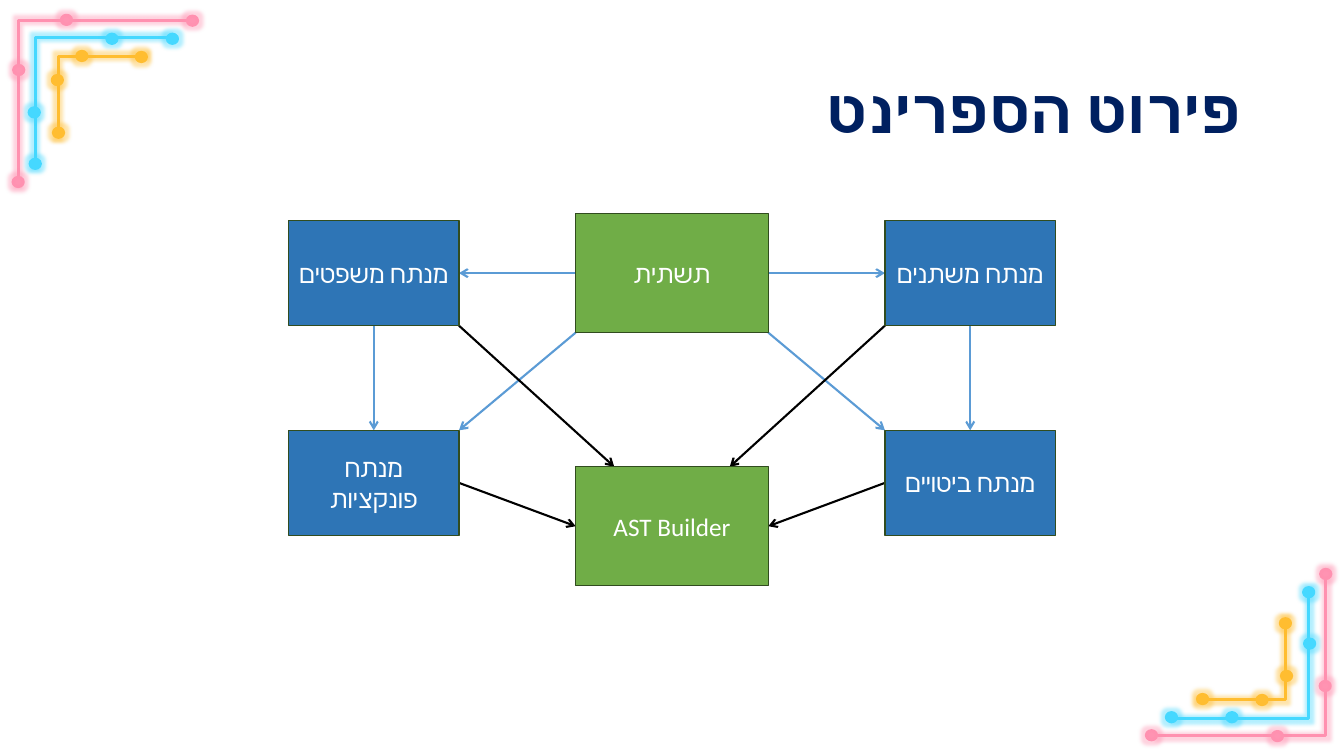
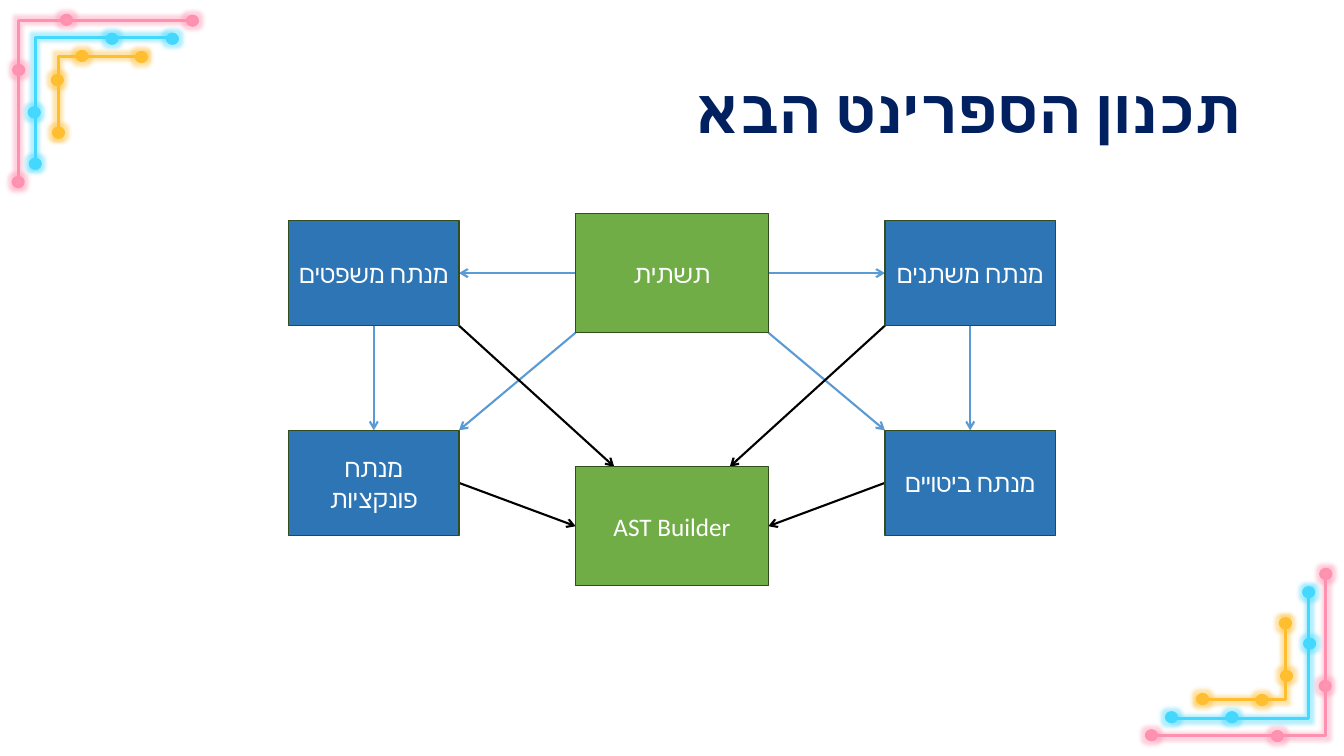
from collections import namedtuple

from lxml import etree
from pptx import Presentation
from pptx.dml.color import RGBColor
from pptx.enum.shapes import MSO_CONNECTOR, MSO_SHAPE
from pptx.enum.text import MSO_ANCHOR, MSO_AUTO_SIZE, PP_ALIGN
from pptx.oxml.ns import qn
from pptx.util import Pt

STRAIGHT = MSO_CONNECTOR.STRAIGHT
RECTANGLE, OVAL = MSO_SHAPE.RECTANGLE, MSO_SHAPE.OVAL
MIDDLE = MSO_ANCHOR.MIDDLE
CENTER, RIGHT = PP_ALIGN.CENTER, PP_ALIGN.RIGHT
NO_AUTOFIT = MSO_AUTO_SIZE.NONE

SLIDE_WIDTH, SLIDE_HEIGHT = 960, 540
TITLE_ONLY = 5
NAVY, WHITE, BLACK = "002060", "FFFFFF", "000000"
GREEN, BLUE, BORDER, LIGHT_BLUE = "70AD47", "2E75B6", "314C1F", "5B9BD5"
DOT_WIDTH, DOT_HEIGHT = 7.2, 6.5

# Traces of the top left corner: line colour, dot colour, bend points, dot centres
TRACES = [
    ("45D8FF", "45D8FF", [(25.2, 119.5), (25.2, 26.6), (121, 26.6)],
     [(25.2, 117), (24.5, 80.3), (80, 27.7), (123.2, 27.7)]),
    ("FF91B0", "FF93B2", [(13, 132), (13, 14.4), (133, 14.4)],
     [(13, 130), (13.4, 50), (47.5, 14.2), (137.5, 14.8)]),
    ("FFBD30", "FFBD30", [(41.8, 98.6), (41.8, 40.3), (104.4, 40.3)],
     [(41.8, 94.8), (41, 57.2), (58.5, 40), (101, 40.7)]),
]

Box = namedtuple("Box", "text center top width height color")
BASE = Box("תשתית", 480, 152.6, 137.6, 85, GREEN)
BUILDER = Box("AST Builder", 480, 333.4, 137.6, 85, GREEN)
SIDE_OFFSET = 213
SIDE_TOPS = (157.6, 307.4)
SIDE_TEXTS = {-1: ("מנתח משפטים", "מנתח פונקציות"),
              1: ("מנתח משתנים", "מנתח ביטויים")}

TITLES = ["פירוט הספרינט", "תכנון הספרינט הבא"]


def rgb(color):
    return RGBColor.from_string(color)


def style_paragraph(paragraph, font_name, size, color, alignment, bold=False):
    """Format a right-to-left paragraph, Hebrew letters included."""
    font = paragraph.font
    font.name, font.size, font.bold = font_name, Pt(size), bold
    font.color.rgb = rgb(color)
    paragraph.alignment = alignment
    properties = paragraph._p.get_or_add_pPr()
    properties.set("rtl", "1")
    complex_font = etree.SubElement(properties.find(qn("a:defRPr")), qn("a:cs"))
    complex_font.set("typeface", font_name)


def style_shape(shape, fill, line, line_width):
    shape.shadow.inherit = False
    if fill:
        shape.fill.solid()
        shape.fill.fore_color.rgb = rgb(fill)
    else:
        shape.fill.background()
    shape.line.color.rgb = rgb(line)
    shape.line.width = Pt(line_width)


def add_glow(shape, color):
    effects = shape.element.spPr.find(qn("a:effectLst"))
    glow = etree.SubElement(effects, qn("a:glow"), rad=str(Pt(5)))
    glow_color = etree.SubElement(glow, qn("a:srgbClr"), val=color)
    etree.SubElement(glow_color, qn("a:alpha"), val="40000")


def add_trace(slide, color, points):
    (x, y), *others = [(Pt(x), Pt(y)) for x, y in points]
    builder = slide.shapes.build_freeform(x, y)
    builder.add_line_segments(others, close=False)
    trace = builder.convert_to_shape()
    style_shape(trace, None, color, 2.25)
    return trace


def add_dot(slide, fill, line, x, y):
    dot = slide.shapes.add_shape(OVAL, Pt(x - DOT_WIDTH / 2), Pt(y - DOT_HEIGHT / 2),
                                 Pt(DOT_WIDTH), Pt(DOT_HEIGHT))
    style_shape(dot, fill, line, 2.25)
    return dot


def opposite(points):
    """Turn points half way round the middle of the slide."""
    return [(SLIDE_WIDTH - x, SLIDE_HEIGHT - y) for x, y in points]


def decorate_layout(layout, slide):
    """Draw both glowing corners on the slide and hand them to its layout."""
    for turn in (list, opposite):
        for line, fill, bends, dots in TRACES:
            shapes = [add_trace(slide, line, turn(bends))]
            shapes += [add_dot(slide, fill, line, x, y) for x, y in turn(dots)]
            for shape in shapes:
                add_glow(shape, line)
                layout.shapes.element.append(shape.element)


def set_title(slide, text):
    title = slide.shapes.title
    title.left, title.top = Pt(66), Pt(28.8)
    title.width, title.height = Pt(828), Pt(104.4)
    frame = title.text_frame
    frame.text = text
    frame.vertical_anchor = MIDDLE
    frame.auto_size = NO_AUTOFIT
    paragraph = frame.paragraphs[0]
    paragraph.line_spacing = 0.9
    style_paragraph(paragraph, "Cabin", 44, NAVY, RIGHT, bold=True)


def add_box(slide, box):
    shape = slide.shapes.add_shape(RECTANGLE, Pt(box.center - box.width / 2), Pt(box.top),
                                   Pt(box.width), Pt(box.height))
    style_shape(shape, box.color, BORDER, 1)
    frame = shape.text_frame
    frame.text = box.text
    frame.word_wrap = True
    frame.vertical_anchor = MIDDLE
    style_paragraph(frame.paragraphs[0], "Calibri", 18, WHITE, CENTER)


def point(box, across, down):
    """Place on a box: across runs from -1 (left) to 1, down from 0 (top) to 1."""
    return box.center + across * box.width / 2, box.top + down * box.height


def add_arrow(slide, start, end, color):
    arrow = slide.shapes.add_connector(STRAIGHT, *(Pt(value) for value in start + end))
    arrow.line.color.rgb = rgb(color)
    arrow.line.width = Pt(1.5)
    etree.SubElement(arrow.line._get_or_add_ln(), qn("a:tailEnd"), type="arrow")
    etree.SubElement(arrow.element.spPr, qn("a:effectLst"))


def add_diagram(slide):
    boxes = [BASE, BUILDER]
    for side, texts in SIDE_TEXTS.items():
        upper, lower = [Box(text, 480 + side * SIDE_OFFSET, top, 121.7, 75, BLUE)
                        for text, top in zip(texts, SIDE_TOPS)]
        boxes += [upper, lower]
        add_arrow(slide, point(BASE, side, 0.5), point(upper, -side, 0.5), LIGHT_BLUE)
        add_arrow(slide, point(BASE, side, 1), point(lower, -side, 0), LIGHT_BLUE)
        add_arrow(slide, point(upper, 0, 1), point(lower, 0, 0), LIGHT_BLUE)
        add_arrow(slide, point(upper, -side, 1), point(BUILDER, side * 0.6, 0), BLACK)
        add_arrow(slide, point(lower, -side, 0.5), point(BUILDER, side, 0.5), BLACK)
    for box in boxes:
        add_box(slide, box)


def main():
    presentation = Presentation()
    presentation.slide_width, presentation.slide_height = Pt(SLIDE_WIDTH), Pt(SLIDE_HEIGHT)
    layout = presentation.slide_layouts[TITLE_ONLY]
    slides = [presentation.slides.add_slide(layout) for _ in TITLES]
    decorate_layout(layout, slides[0])
    for slide, title in zip(slides, TITLES):
        set_title(slide, title)
        add_diagram(slide)
    presentation.save("out.pptx")


if __name__ == "__main__":
    main()
